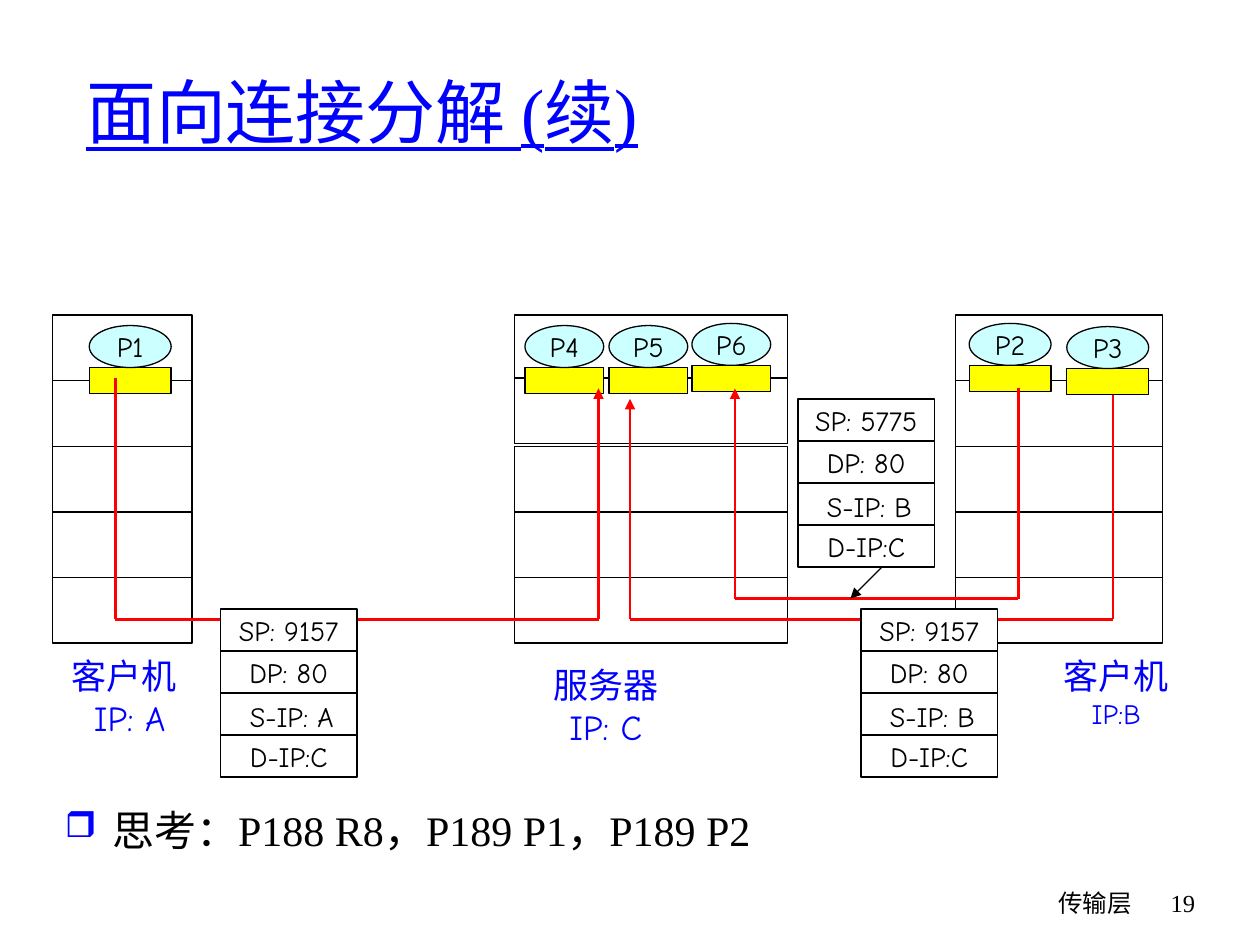
from dataclasses import dataclass
from itertools import pairwise

from lxml import etree
from pptx import Presentation
from pptx.dml.color import RGBColor
from pptx.enum.shapes import MSO_CONNECTOR, MSO_SHAPE
from pptx.enum.text import MSO_ANCHOR, MSO_AUTO_SIZE, PP_ALIGN
from pptx.oxml.ns import qn
from pptx.util import Emu, Pt

RECT, OVAL = MSO_SHAPE.RECTANGLE, MSO_SHAPE.OVAL
STRAIGHT = MSO_CONNECTOR.STRAIGHT
LEFT, CENTER, RIGHT = PP_ALIGN.LEFT, PP_ALIGN.CENTER, PP_ALIGN.RIGHT
TOP, MIDDLE = MSO_ANCHOR.TOP, MSO_ANCHOR.MIDDLE
TITLE_ONLY = 5
PX = 7620  # EMU per px, 120 px to the inch


@dataclass(frozen=True)
class Theme:
    serif: str = "Times New Roman"
    comic: str = "Comic Neue"
    blue: str = "0000FF"
    black: str = "000000"
    white: str = "FFFFFF"
    yellow: str = "FFFF00"
    cyan: str = "CCFFFF"
    red: str = "FF0000"
    title: int = 40
    body: int = 24
    label: int = 20
    small: int = 16
    footer: int = 14
    thin: float = 0.75
    wire: float = 1.5


T = Theme()


def px(*lengths):
    return [Emu(round(n * PX)) for n in lengths]


def style(p, size, color=T.black, font=T.comic, align=CENTER):
    p.alignment = align
    for r in p.runs:
        r.font.size = Pt(size)
        r.font.name = font
        r.font.color.rgb = RGBColor.from_string(color)


def add_text(s, box, text, sizes, color=T.black, font=T.comic,
             align=CENTER, wrap=True):
    tf = s.shapes.add_textbox(*px(*box)).text_frame
    tf.word_wrap = wrap
    tf.vertical_anchor = TOP
    tf.text = text
    for p, size in zip(tf.paragraphs, sizes):
        style(p, size, color, font, align)
    return tf


def add_box(s, kind, box, fill, text=""):
    sp = s.shapes.add_shape(kind, *px(*box))
    sp.shadow.inherit = False
    sp.fill.solid()
    sp.fill.fore_color.rgb = RGBColor.from_string(fill)
    sp.line.color.rgb = RGBColor.from_string(T.black)
    sp.line.width = Pt(T.thin)
    if text:
        tf = sp.text_frame
        tf.word_wrap = False
        tf.vertical_anchor = MIDDLE
        tf.margin_left = tf.margin_right = tf.margin_top = tf.margin_bottom = 0
        tf.text = text
        style(tf.paragraphs[0], T.small)
    return sp


def add_line(s, start, end, color, width, arrow=False):
    c = s.shapes.add_connector(STRAIGHT, *px(*start, *end))
    c.line.color.rgb = RGBColor.from_string(color)
    c.line.width = Pt(width)
    if arrow:
        etree.SubElement(c.line._get_or_add_ln(), qn("a:tailEnd"), type="triangle")
    etree.SubElement(c._element.spPr, qn("a:effectLst"))


def add_title(s, box, text):
    sp = s.shapes.title
    sp.left, sp.top, sp.width, sp.height = px(*box)
    tf = sp.text_frame
    tf.auto_size = MSO_AUTO_SIZE.NONE
    tf.vertical_anchor = MIDDLE
    tf.text = text
    p = tf.paragraphs[0]
    style(p, T.title, T.blue, T.serif, LEFT)
    p.runs[0].font.underline = True


def add_host(s, x, y, width, processes, process_width, second_row=62.5):
    """Five stacked layers, with processes and their sockets on the top ones."""
    row = 62.5
    for top in (0, second_row, 2 * row, 3 * row, 4 * row):
        add_box(s, RECT, (x, y + top, width, row), T.white)
    for name, dx, dy in processes:
        add_box(s, RECT, (x + dx, y + dy + 40, process_width, 25), T.yellow)
        add_box(s, OVAL, (x + dx, y + dy, process_width, 40), T.cyan, name)


def add_route(s, points):
    """Red wire through the points, with an arrowhead at the last one."""
    legs = list(pairwise(points))
    for i, (start, end) in enumerate(legs, 1):
        add_line(s, start, end, T.red, T.wire, arrow=i == len(legs))


def add_packet(s, x, y, fields):
    for i, field in enumerate(fields):
        sp = add_box(s, RECT, (x, y + 40 * i, 130, 40), T.white, field)
        if field.startswith("S-IP"):
            sp.text_frame.margin_left, sp.text_frame.margin_top = px(6, 4)


def add_bullet(s, box, text):
    tf = add_text(s, box, text, [T.body], font=T.serif, align=LEFT)
    pPr = tf.paragraphs[0]._p.get_or_add_pPr()
    indent = px(45)[0]
    pPr.set("marL", str(indent))
    pPr.set("indent", str(-indent))
    color = etree.SubElement(pPr, qn("a:buClr"))
    etree.SubElement(color, qn("a:srgbClr"), val=T.blue)
    etree.SubElement(pPr, qn("a:buSzPct"), val="85000")
    etree.SubElement(pPr, qn("a:buChar"), char="❒")


def main():
    prs = Presentation()
    prs.slide_width, prs.slide_height = px(1200, 900)
    s = prs.slides.add_slide(prs.slide_layouts[TITLE_ONLY])
    add_title(s, (70, 30, 1020, 150), "面向连接分解 (续)")

    # Hosts
    add_host(s, 50, 300, 133, [("P1", 35, 10)], 78)
    add_host(s, 490, 300, 260,
             [("P4", 10, 10), ("P5", 90, 10), ("P6", 169, 8)], 75, second_row=60)
    add_host(s, 910, 300, 197, [("P2", 13, 8), ("P3", 106, 11)], 78)
    for x, y, text, address_size in (
            (56, 617, "客户机\n IP: A", T.label),
            (515, 626, "服务器\nIP: C", T.label),
            (1001, 617, "客户机\nIP:B", T.small)):
        add_text(s, (x, y, 124, 92), text, (T.label, address_size), T.blue, wrap=False)

    # Connections from client sockets to server sockets
    for start, end, depth in (((110, 360), (570, 370), 590),
                              ((1060, 376), (600, 380), 590),
                              ((970, 370), (700, 370), 570)):
        add_route(s, [start, (start[0], depth), (end[0], depth), end])

    # Packet headers
    for x, y, port, source in ((210, 580, 9157, "A"), (820, 580, 9157, "B"),
                               (760, 380, 5775, "B")):
        add_packet(s, x, y, [f"SP: {port}", "DP: 80", f"S-IP: {source}", "D-IP:C"])
    add_line(s, (840, 540), (810, 570), T.black, T.thin, arrow=True)

    # Exercise and footer
    add_bullet(s, (50, 760, 1080, 61), "思考：P188 R8，P189 P1，P189 P2")
    add_text(s, (710, 840, 380, 60), "传输层", [T.footer], align=RIGHT)
    add_text(s, (1090, 840, 60, 60), "19", [T.footer], font=T.serif, align=RIGHT)

    prs.save("out.pptx")


if __name__ == "__main__":
    main()
